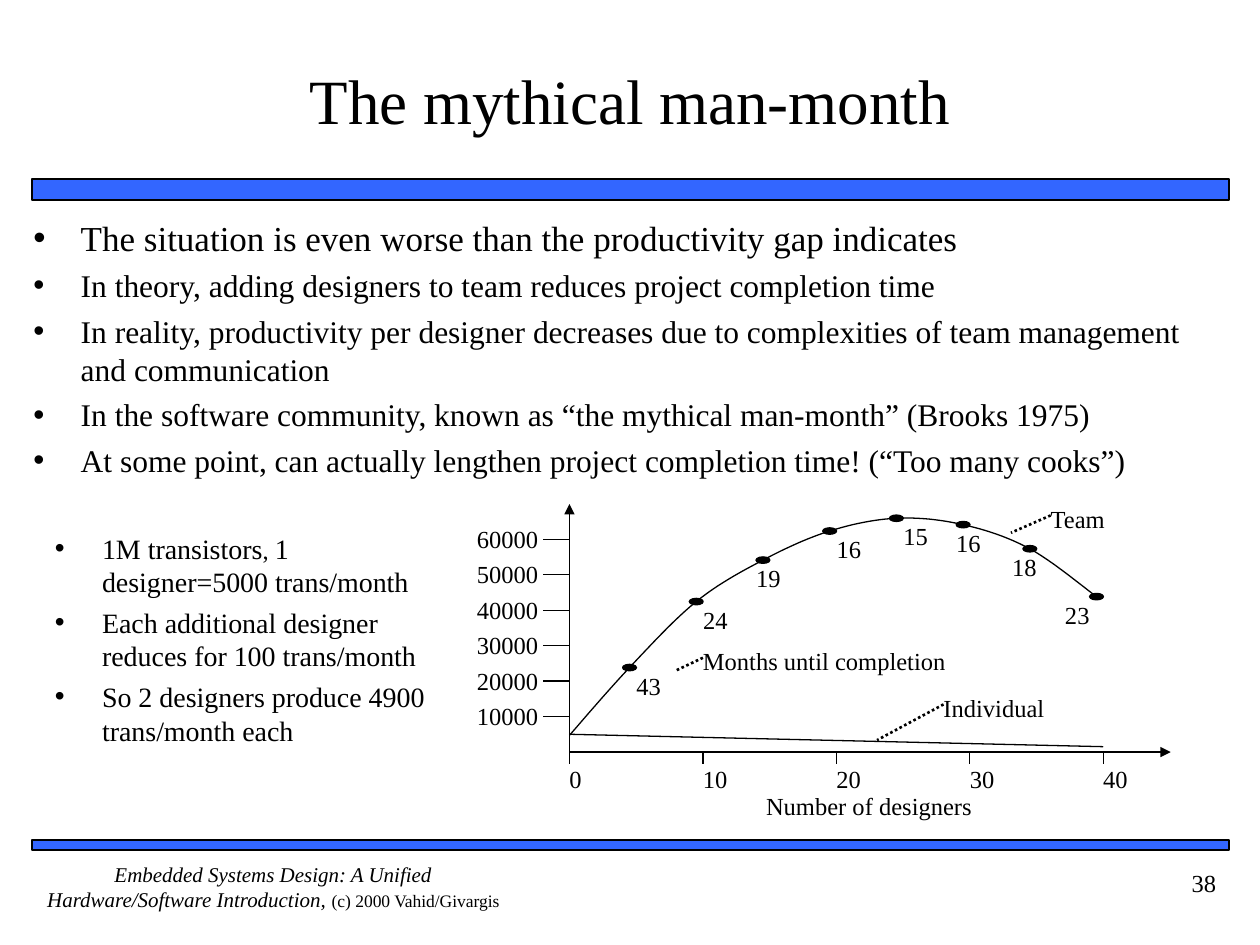
"""Build the slide on the mythical man-month: two lists and a drawn graph."""
from pptx import Presentation
from pptx.dml.color import RGBColor
from pptx.enum.dml import MSO_LINE
from pptx.enum.shapes import MSO_CONNECTOR, MSO_SHAPE
from pptx.enum.text import MSO_ANCHOR, MSO_AUTO_SIZE, PP_ALIGN
from pptx.oxml.ns import qn
from pptx.util import Cm, Pt
from lxml.etree import SubElement


class Theme:
    font = "Times New Roman"
    ink = RGBColor(0, 0, 0)
    blue = RGBColor(0x33, 0x66, 0xFF)
    title, lead, body, note, label, foot, small = 36, 20, 18, 16, 14, 12, 10
    thin, edge, dots = 0.75, 1, 1.5


LEFT, CENTER, RIGHT = PP_ALIGN.LEFT, PP_ALIGN.CENTER, PP_ALIGN.RIGHT

TITLE = [[("The mythical man-month", Theme.title)]]
POINTS = [
    [("The situation is even worse than the productivity gap indicates", Theme.lead)],
    [("In theory, adding designers to team reduces project completion time", Theme.body)],
    [("In reality, productivity per designer decreases due to complexities "
      "of team management and communication", Theme.body)],
    [("In the software community, known as “the mythical man-month” (Brooks 1975)", Theme.body)],
    [("At some point, can actually lengthen project completion time! "
      "(“Too many cooks”)", Theme.body)],
]
NOTES = [
    [("1M transistors", Theme.note), (", ", Theme.label),
     ("1 designer=5000 trans/month", Theme.note)],
    [("Each additional designer reduces for 100 trans/month", Theme.note)],
    [("So 2 designers produce 4900 trans/month each", Theme.note)],
]
FOOTER = [[("Embedded Systems Design: A Unified Hardware/Software Introduction, ", Theme.foot, True),
           ("(c) 2000 Vahid/Givargis", Theme.small)]]
PAGE = [[("38", Theme.label)]]

BARS = [(3.61, 0.43), (16.94, 0.2)]
COUNTS = [0, 10, 20, 30, 40]
RATES = [10000, 20000, 30000, 40000, 50000, 60000]
SOLO = [(0, 5000), (40, 1500)]
START = (0, 4700)
TEAM = [
    (4.5, 23800, "43", 0.14, LEFT), (9.5, 42400, "24", 0.14, LEFT),
    (14.5, 54100, "19", -0.14, LEFT), (19.5, 62300, "16", 0.14, LEFT),
    (24.5, 65900, "15", 0.14, LEFT), (29.5, 64100, "16", -0.14, LEFT),
    (34.5, 57300, "18", 0.14, RIGHT), (39.5, 43800, "23", -0.14, RIGHT),
]
CALLS = [
    ("Team", 21.18, 10.16, 2.97, -0.8, 0.35),
    ("Individual", 19.02, 13.97, 3.23, -1.34, 0.72),
    ("Months until completion", 14.17, 13.03, 7.54, -0.53, 0.25),
]
AXIS = "Number of designers"

ZERO_X, ZERO_Y, END_X, TOP_Y = 11.48, 15.16, 23.6, 10.16
SPAN_X, SPAN_Y = 10.76, 4.29
TAG_W, TAG_H = 1.07, 0.48
DOT_W, DOT_H = 0.28, 0.13
STEPS = 12


def spot(count, rate):
    return ZERO_X + SPAN_X * count / COUNTS[-1], ZERO_Y - SPAN_Y * rate / RATES[-1]


def place(shape, *box):
    shape.left, shape.top, shape.width, shape.height = map(Cm, box)


def write(shape, paras, align=LEFT, gap=0.0):
    frame = shape.text_frame
    frame.word_wrap = True
    frame.auto_size = MSO_AUTO_SIZE.NONE
    for i, runs in enumerate(paras):
        para = frame.paragraphs[0] if i == 0 else frame.add_paragraph()
        para.alignment = align
        para.space_before = Pt(gap * runs[0][1])
        for text, size, *slant in runs:
            run = para.add_run()
            run.text = text
            font = run.font
            font.name, font.size, font.italic = Theme.font, Pt(size), bool(slant)
            font.color.rgb = Theme.ink


def label(slide, paras, box, align=LEFT, pad=(0, 0)):
    shape = slide.shapes.add_textbox(*map(Cm, box))
    frame = shape.text_frame
    frame.margin_left = frame.margin_right = Cm(pad[0])
    frame.margin_top = frame.margin_bottom = Cm(pad[1])
    write(shape, paras, align)


def tag(slide, text, x, y, width=TAG_W, align=LEFT):
    label(slide, [[(text, Theme.label)]], (x, y, width, TAG_H), align)


def line(slide, start, end, arrow=False, dots=False):
    link = slide.shapes.add_connector(MSO_CONNECTOR.STRAIGHT, *map(Cm, (*start, *end)))
    link.line.color.rgb = Theme.ink
    link.line.width = Pt(Theme.dots if dots else Theme.thin)
    if dots:
        link.line.dash_style = MSO_LINE.ROUND_DOT
    if arrow:
        SubElement(link.line._get_or_add_ln(), qn("a:tailEnd"), type="triangle")
    SubElement(link._element.spPr, qn("a:effectLst"))


def solid(slide, kind, box, fill, width):
    shape = slide.shapes.add_shape(kind, *map(Cm, box))
    shape.shadow.inherit = False
    shape.fill.solid()
    shape.fill.fore_color.rgb = fill
    shape.line.color.rgb = Theme.ink
    shape.line.width = Pt(width)


def smooth(knots):
    ends = [knots[0], *knots, knots[-1]]
    for a, b, c, d in zip(ends, ends[1:], ends[2:], ends[3:]):
        for step in range(1, STEPS + 1):
            t = step / STEPS
            yield tuple(
                (2 * q + (r - p) * t + (2 * p - 5 * q + 4 * r - s) * t ** 2
                 + (3 * q - p - 3 * r + s) * t ** 3) / 2
                for p, q, r, s in zip(a, b, c, d))


def curve(slide, knots):
    pen = slide.shapes.build_freeform(*map(Cm, knots[0]))
    pen.add_line_segments([(Cm(x), Cm(y)) for x, y in smooth(knots)], close=False)
    shape = pen.convert_to_shape()
    shape.shadow.inherit = False
    shape.fill.background()
    shape.line.color.rgb = Theme.ink
    shape.line.width = Pt(Theme.thin)


def graph(slide):
    zero = (ZERO_X, ZERO_Y)
    line(slide, zero, (END_X, ZERO_Y), arrow=True)
    line(slide, zero, (ZERO_X, TOP_Y), arrow=True)
    for count in COUNTS:
        x, y = spot(count, 0)
        line(slide, (x, y), (x, y + 0.25))
        tag(slide, str(count), x, y + 0.25)
    for rate in RATES:
        x, y = spot(0, rate)
        line(slide, (x, y), (x - 0.53, y))
        tag(slide, str(rate), x - 2.79, y - 0.31, 2.16, RIGHT)
    tag(slide, AXIS, 11.73, 15.95, 11.58, CENTER)
    line(slide, *(spot(*pair) for pair in SOLO))
    curve(slide, [spot(*START)] + [spot(*mark[:2]) for mark in TEAM])
    for count, rate, months, shift, align in TEAM:
        x, y = spot(count, rate)
        solid(slide, MSO_SHAPE.OVAL, (x - DOT_W / 2, y - DOT_H / 2, DOT_W, DOT_H),
              Theme.ink, Theme.thin)
        left = x + shift - (TAG_W if align == RIGHT else 0)
        tag(slide, months, left, y + DOT_H / 2, align=align)
    for text, x, y, width, right, down in CALLS:
        tag(slide, text, x, y, width)
        start = (x, y + 0.23)
        line(slide, start, (x + right, start[1] + down), dots=True)


def main():
    deck = Presentation()
    deck.slide_width, deck.slide_height = Cm(25.4), Cm(19.05)
    slide = deck.slides.add_slide(deck.slide_layouts[3])
    title, points, notes = list(slide.placeholders)[:3]
    place(title, 1.06, 0.42, 23.28, 3.18)
    title.text_frame.vertical_anchor = MSO_ANCHOR.MIDDLE
    write(title, TITLE, CENTER)
    place(points, 0.42, 4.23, 24.34, 5.72)
    write(points, POINTS, gap=0.25)
    place(notes, 0.85, 10.58, 8.26, 4.66)
    write(notes, NOTES, gap=0.25)
    for top, height in BARS:
        solid(slide, MSO_SHAPE.RECTANGLE, (0.64, top, 24.13, height), Theme.blue, Theme.edge)
    graph(slide)
    label(slide, FOOTER, (0.64, 17.36, 9.74, 1.27), CENTER)
    label(slide, PAGE, (22.23, 17.36, 2.54, 1.27), RIGHT, (0.25, 0.13))
    deck.save("out.pptx")


if __name__ == "__main__":
    main()
